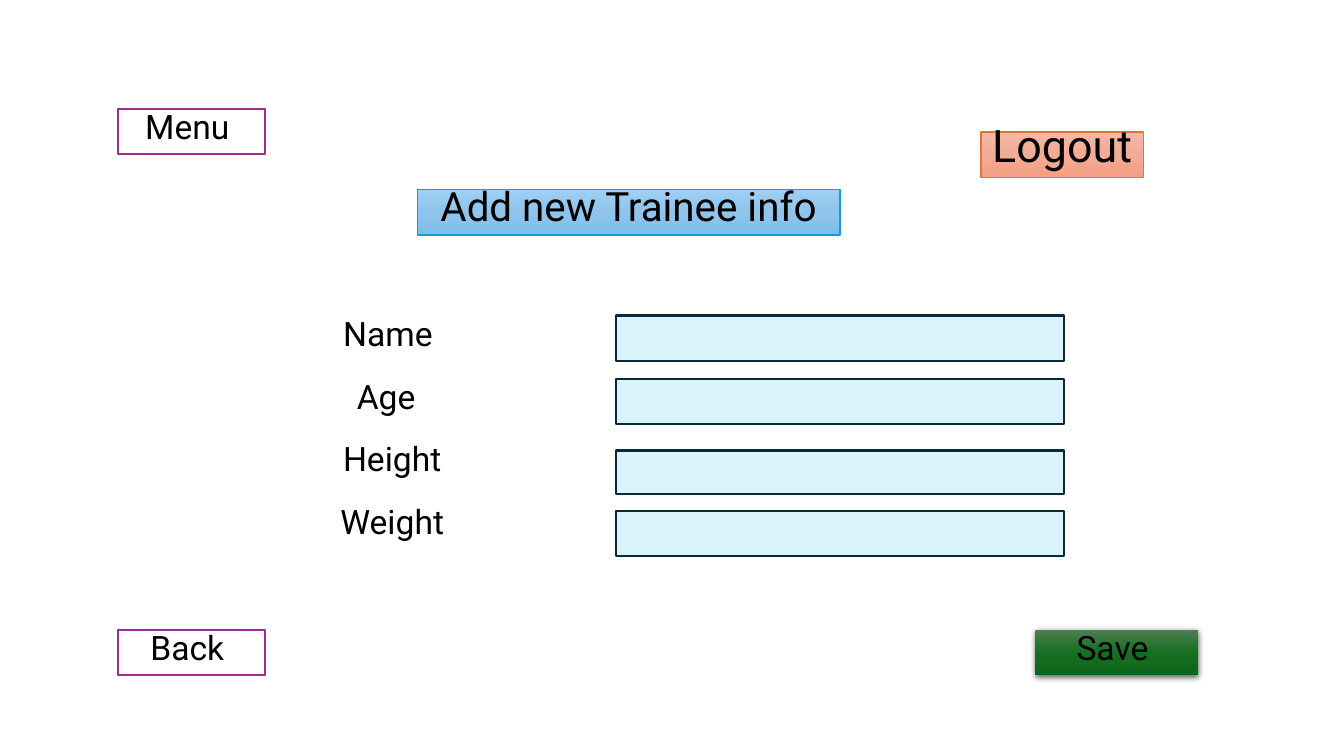
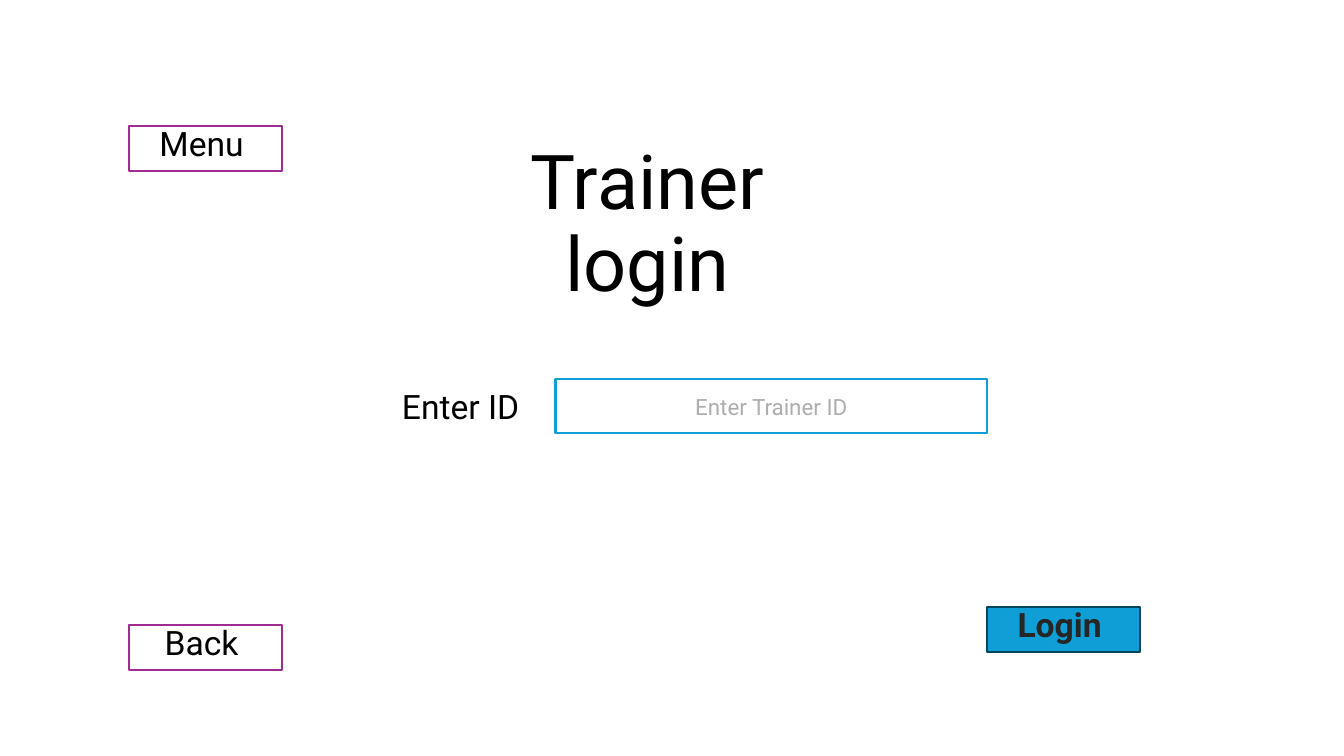
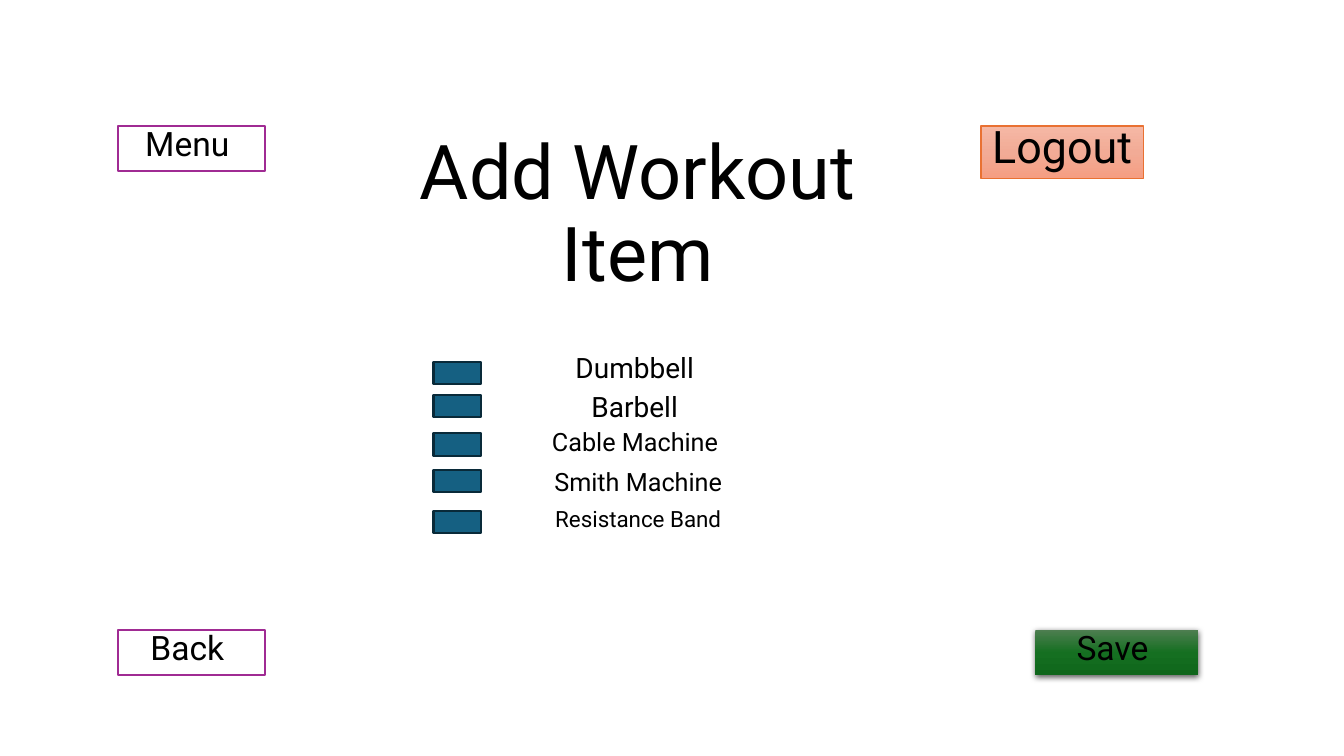
from pptx import Presentation
from pptx.dml.color import RGBColor
from pptx.enum.shapes import MSO_SHAPE
from pptx.enum.text import MSO_ANCHOR, MSO_AUTO_SIZE, PP_ALIGN
from pptx.oxml.ns import qn
from pptx.util import Inches, Pt
from lxml.etree import SubElement
from copy import deepcopy

# Shared look: fill, line colour and line width of each kind of box
FONT = "Roboto"
NAV = dict(fill="FFFFFF", line="A02B93")
SAVE = dict(fill=("4D7E50", "156F21", "0F661B"), shade=True)
LOGOUT = dict(fill=("F5B8A5", "F2AB96", "F59E82"), line="E97132", width=1)
BANNER = dict(fill=("9ECFF5", "90C4EB", "7CBEED"), line="0F9ED5", width=1)
FIELD = dict(fill="CAEEFB", line="092A39", alpha=67)
CHECK = dict(fill="156082", line="092A39")
ENTRY = dict(fill="FFFFFF", line="0F9ED5")
LOGIN = dict(fill="0F9ED5", line="07455D")

# Shared text formats
BODY = dict(line_spacing=0.8, space_before=Pt(10))
ITEM = dict(line_spacing=0.9, space_before=Pt(10))
HEAD = dict(line_spacing=0.9, space_before=Pt(0))
HIGH = 0.45


def color(code):
    return RGBColor.from_string(code)


def place(shape, spot):
    for name, size in zip(("left", "top", "width", "height"), spot):
        setattr(shape, name, Inches(size))


def blend(shape, codes):
    """Fill from top to bottom with evenly spaced colours."""
    shape.fill.gradient()
    shape.fill.gradient_angle = 270
    stops = shape._element.spPr.find(".//" + qn("a:gsLst"))
    while len(stops) < len(codes):
        stops.append(deepcopy(stops[0]))
    for i, (stop, code) in enumerate(zip(shape.fill.gradient_stops, codes)):
        stop.position = i / (len(codes) - 1)
        stop.color.rgb = color(code)


def cast(shape):
    """Add a soft shadow below the shape."""
    effects = shape._element.spPr.find(qn("a:effectLst"))
    outer = SubElement(effects, qn("a:outerShdw"), blurRad=str(Pt(4.5)),
                       dist=str(Pt(1.5)), dir="5400000", rotWithShape="0")
    tone = SubElement(outer, qn("a:srgbClr"), val="000000")
    SubElement(tone, qn("a:alpha"), val="63000")


def paint(shape, fill, line=None, width=1.5, alpha=None, shade=False):
    if isinstance(fill, tuple):
        blend(shape, fill)
    else:
        shape.fill.solid()
        shape.fill.fore_color.rgb = color(fill)
    if alpha:
        tone = shape._element.spPr.find(".//" + qn("a:srgbClr"))
        SubElement(tone, qn("a:alpha"), val=str(alpha * 1000))
    if line:
        shape.line.color.rgb = color(line)
        shape.line.width = Pt(width)
    else:
        shape.line.fill.background()
    shape.shadow.inherit = False
    if shade:
        cast(shape)


def write(shape, text, size=24, form=BODY, anchor=MSO_ANCHOR.TOP,
          ink="000000", bold=False):
    frame = shape.text_frame
    frame.text = text
    frame.word_wrap = True
    frame.auto_size = MSO_AUTO_SIZE.NONE
    frame.vertical_anchor = anchor
    para = frame.paragraphs[0]
    for name, value in dict(form, alignment=PP_ALIGN.CENTER).items():
        setattr(para, name, value)
    font = para.runs[0].font
    for name, value in dict(name=FONT, size=Pt(size), bold=bold).items():
        setattr(font, name, value)
    font.color.rgb = color(ink)


def box(slide, spot, look, text=None, **style):
    shape = slide.shapes.add_shape(MSO_SHAPE.RECTANGLE, *map(Inches, spot))
    paint(shape, **look)
    if text:
        write(shape, text, **style)


def label(slide, left, top, text, **style):
    spot = left, top, 2.14, HIGH
    write(slide.shapes.add_textbox(*map(Inches, spot)), text, **style)


def title(slide, spot, text, size=54, look=None):
    shape = slide.shapes.title
    place(shape, spot)
    if look:
        paint(shape, **look)
    write(shape, text, size, HEAD, MSO_ANCHOR.BOTTOM)


def menu(slide, left, width, top, base):
    """Menu and Back buttons, one above the other."""
    for text, y in (("Menu ", top), ("Back ", base)):
        box(slide, (left, y, width, HIGH), NAV, text)


def session(slide, top, height):
    """Save and Logout buttons on the right."""
    box(slide, (10.27, 6.25, 1.61, HIGH), SAVE, "Save ")
    box(slide, (9.73, top, 1.61, height), LOGOUT, "Logout",
        size=32, form=HEAD, anchor=MSO_ANCHOR.BOTTOM)


def trainee(slide):
    title(slide, (4.14, 1.88, 4.19, HIGH), "Add new Trainee info", 28.8, BANNER)
    menu(slide, 1.17, 1.46, 1.08, 6.25)
    rows = (("Name ", 2.82, 3.13, 3.13, HIGH), ("Age", 2.76, 3.76, 3.76, HIGH),
            ("Height", 2.82, 4.37, 4.47, 0.43), ("Weight", 2.82, 5, 5.07, HIGH))
    for text, left, top, y, height in rows:
        label(slide, left, top, text)
        box(slide, (6.11, y, 4.44, height), FIELD)
    session(slide, 1.31, HIGH)


def login(slide):
    title(slide, (4.32, 2.12, 4.2, 0.98), "Trainer login")
    menu(slide, 1.28, 1.52, 1.25, 6.2)
    box(slide, (5.51, 3.76, 4.28, 0.54), ENTRY, "Enter Trainer ID",
        size=16, form={}, anchor=MSO_ANCHOR.MIDDLE, ink="AEAEAE")
    label(slide, 3.54, 3.86, "Enter ID ")
    box(slide, (9.79, 6.02, 1.52, HIGH), LOGIN, "Login ", ink="262626", bold=True)


def workout(slide):
    title(slide, (3.33, 2.02, 5.99, 0.98), "Add Workout Item")
    menu(slide, 1.17, 1.46, 1.25, 6.25)
    rows = (("Dumbbell ", 20, 3.47, 3.59), ("Barbell ", 20, 3.85, 3.92),
            ("Cable Machine ", 18, 4.21, 4.3), ("Smith Machine", 18, 4.61, 4.66),
            ("Resistance Band", 16, 4.99, 5.07))
    for text, size, top, y in rows:
        label(slide, 5.26, top, text, size=size, form=ITEM)
        box(slide, (4.3, y, 0.47, 0.22), CHECK)
    session(slide, 1.25, 0.52)


def main():
    deck = Presentation()
    deck.slide_width, deck.slide_height = Inches(13.33), Inches(7.5)
    for build in (trainee, login, workout):
        build(deck.slides.add_slide(deck.slide_layouts[5]))
    deck.save("out.pptx")


if __name__ == "__main__":
    main()
